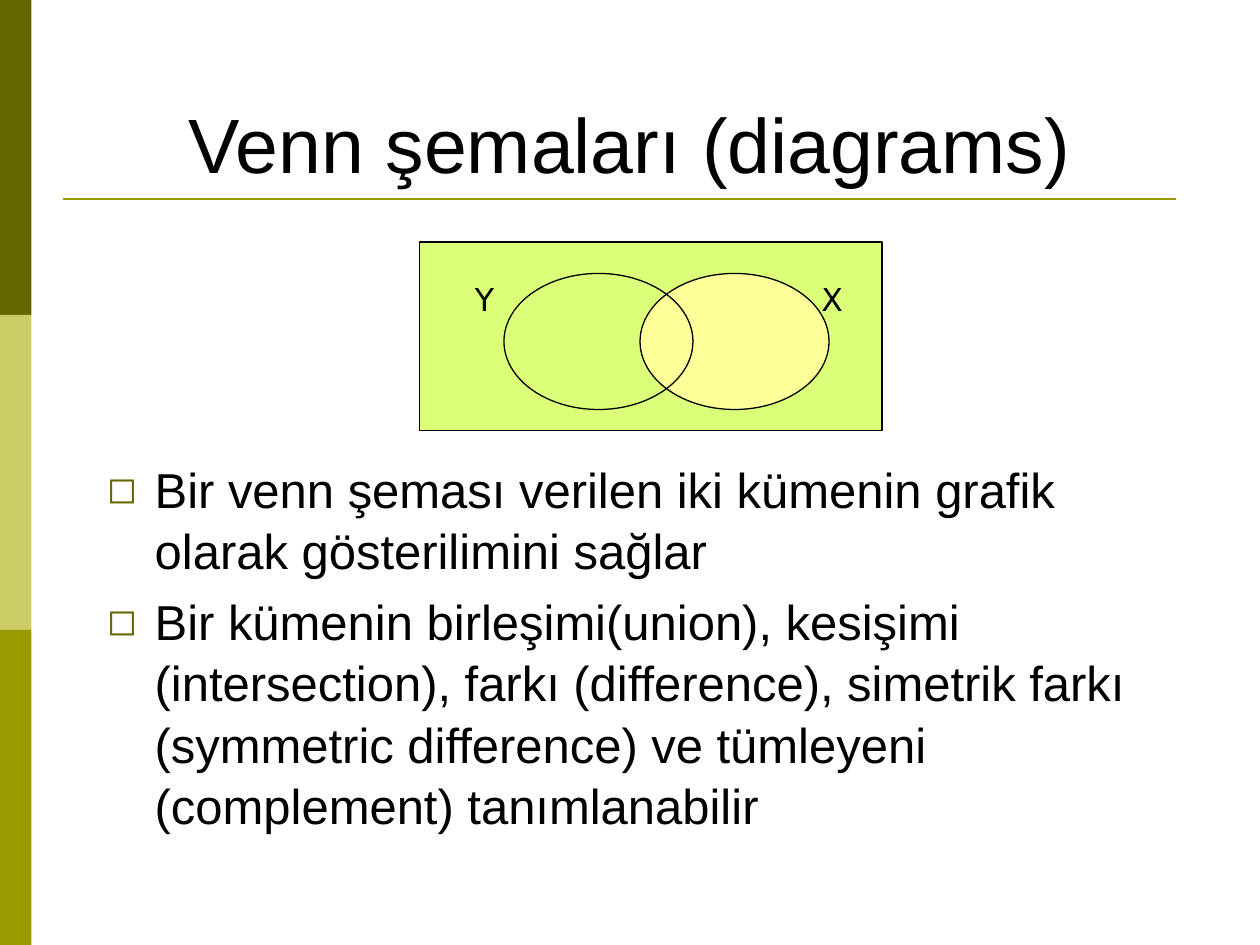
from lxml import etree
from pptx import Presentation
from pptx.dml.color import RGBColor
from pptx.enum.shapes import MSO_CONNECTOR, MSO_SHAPE
from pptx.enum.text import MSO_ANCHOR, PP_ALIGN
from pptx.oxml.ns import qn
from pptx.util import Inches, Pt

RECTANGLE, ELLIPSE = MSO_SHAPE.RECTANGLE, MSO_SHAPE.OVAL
STRAIGHT = MSO_CONNECTOR.STRAIGHT
TOP, BOTTOM = MSO_ANCHOR.TOP, MSO_ANCHOR.BOTTOM
LEFT, CENTER = PP_ALIGN.LEFT, PP_ALIGN.CENTER

WIDTH, HEIGHT = 10, 7.5
BLACK, OLIVE, DARK_OLIVE = "000000", "999900", "666600"
TITLE = "Venn şemaları (diagrams)"
STATEMENTS = [
    "Bir venn şeması verilen iki kümenin grafik olarak gösterilimini sağlar",
    "Bir kümenin birleşimi(union), kesişimi (intersection), farkı (difference), "
    "simetrik farkı (symmetric difference) ve tümleyeni (complement) tanımlanabilir",
]
SIDE_BANDS = [DARK_OLIVE, "CCCC66", OLIVE]
UNIVERSE = (3.33, 1.92, 3.67, 1.5)
SETS = [("X", 5.08, 6.42, "FFFF99"), ("Y", 4, 3.67, None)]
SET_TOP, SET_WIDTH, SET_HEIGHT = 2.17, 1.5, 1.08
INDENT = 0.38


def color(hex_value):
    return RGBColor.from_string(hex_value)


def inches(box):
    return [Inches(length) for length in box]


def add_figure(slide, kind, box, fill=None, outline=None):
    figure = slide.shapes.add_shape(kind, *inches(box))
    figure.shadow.inherit = False
    if fill:
        figure.fill.solid()
        figure.fill.fore_color.rgb = color(fill)
    else:
        figure.fill.background()
    if outline:
        figure.line.color.rgb = color(outline)
        figure.line.width = Pt(0.75)
    else:
        figure.line.fill.background()


def add_bullet(paragraph):
    properties = paragraph._p.get_or_add_pPr()
    properties.set("marL", str(Inches(INDENT)))
    properties.set("indent", str(-Inches(INDENT)))
    bullet_color = etree.SubElement(properties, qn("a:buClr"))
    etree.SubElement(bullet_color, qn("a:srgbClr"), val=DARK_OLIVE)
    etree.SubElement(properties, qn("a:buSzPct"), val="75000")
    etree.SubElement(properties, qn("a:buFont"), typeface="DejaVu Sans")
    etree.SubElement(properties, qn("a:buChar"), char="◻")


def write(holder, texts, size, font="Arial", align=LEFT, anchor=TOP,
          before=0, spacing=1.0, bulleted=False):
    frame = holder.text_frame
    frame.word_wrap = True
    frame.vertical_anchor = anchor
    for index, text in enumerate(texts):
        paragraph = frame.add_paragraph() if index else frame.paragraphs[0]
        paragraph.alignment = align
        paragraph.space_before = Pt(before)
        paragraph.line_spacing = spacing
        if bulleted:
            add_bullet(paragraph)
        run = paragraph.add_run()
        run.text = text
        run.font.size = Pt(size)
        run.font.name = font
        run.font.color.rgb = color(BLACK)


def main():
    deck = Presentation()
    deck.slide_width, deck.slide_height = Inches(WIDTH), Inches(HEIGHT)
    slide = deck.slides.add_slide(deck.slide_layouts[5])

    band_height = HEIGHT / len(SIDE_BANDS)
    for row, fill in enumerate(SIDE_BANDS):
        add_figure(slide, RECTANGLE,
                   (0, row * band_height, WIDTH / 40, band_height), fill)

    rule = slide.shapes.add_connector(STRAIGHT, *inches((0.5, 1.58, 9.33, 1.58)))
    rule.line.color.rgb = color(OLIVE)
    rule.line.width = Pt(1.5)
    etree.SubElement(rule._element.spPr, qn("a:effectLst"))

    title = slide.shapes.title
    title.left, title.top, title.width, title.height = inches((0.5, 0.3, 9, 1.25))
    write(title, [TITLE], 44, align=CENTER, anchor=BOTTOM)

    statements = slide.shapes.add_textbox(*inches((0.75, 3.58, 8.33, 3.37)))
    write(statements, STATEMENTS, 28, before=5.6, spacing=1.04, bulleted=True)

    add_figure(slide, RECTANGLE, UNIVERSE, "DCFF79", BLACK)
    for name, set_left, label_left, fill in SETS:
        add_figure(slide, ELLIPSE, (set_left, SET_TOP, SET_WIDTH, SET_HEIGHT), fill, BLACK)
    for name, set_left, label_left, fill in SETS:
        label = slide.shapes.add_textbox(*inches((label_left, SET_TOP, 0.42, 0.4)))
        write(label, [name], 18, font="DejaVu Sans", before=9)

    deck.save("out.pptx")


if __name__ == "__main__":
    main()
